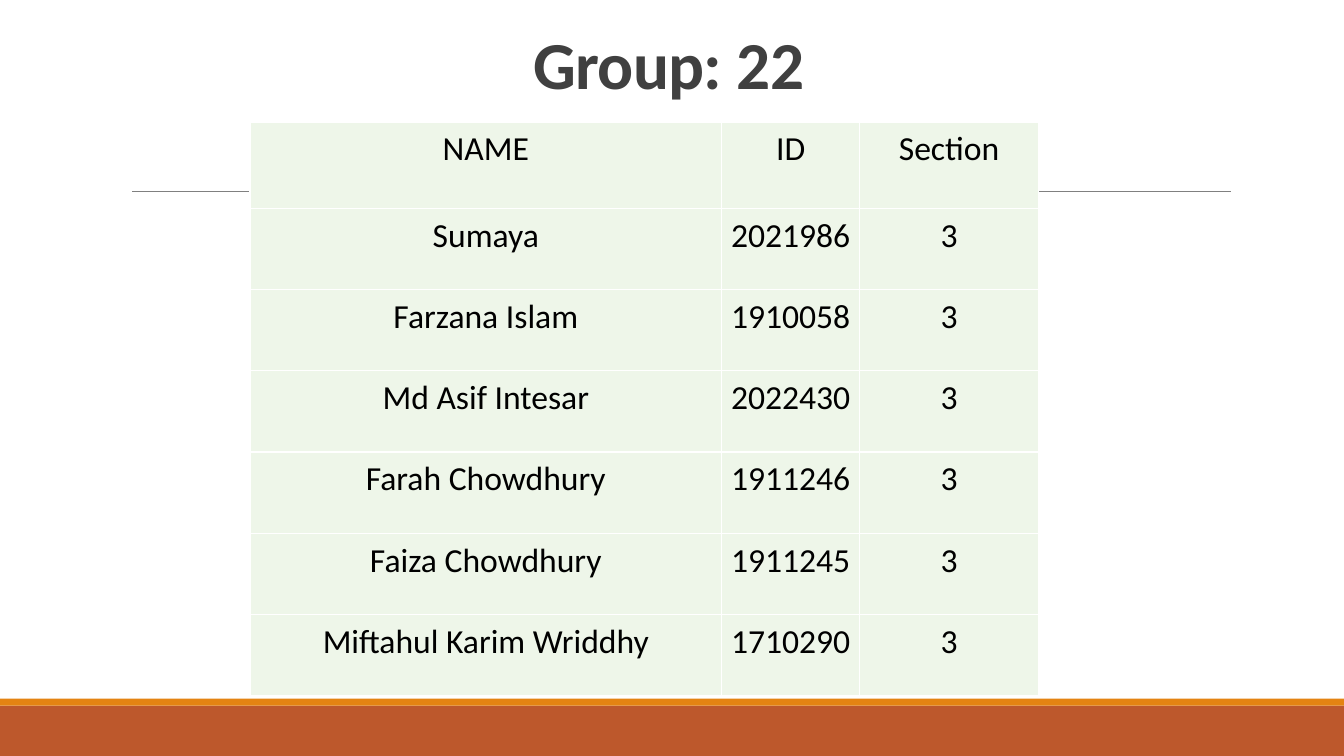
from dataclasses import dataclass

from lxml import etree
from pptx import Presentation
from pptx.dml.color import RGBColor
from pptx.enum.shapes import MSO_CONNECTOR, MSO_SHAPE
from pptx.enum.text import MSO_ANCHOR, PP_ALIGN
from pptx.oxml.ns import qn
from pptx.slide import Slide
from pptx.util import Inches, Pt

RECTANGLE = MSO_SHAPE.RECTANGLE
STRAIGHT = MSO_CONNECTOR.STRAIGHT
CENTER, LEFT = PP_ALIGN.CENTER, PP_ALIGN.LEFT
BOTTOM = MSO_ANCHOR.BOTTOM

SLIDE_WIDTH, SLIDE_HEIGHT = Inches(13.333), Inches(7.5)


@dataclass(frozen=True)
class Theme:
    font: str = "Calibri"
    title_size: int = 48
    cell_size: int = 24
    title: str = "404040"
    text: str = "000000"
    cell: str = "EEF6E9"
    border: str = "FFFFFF"
    rule: str = "808080"
    footer: str = "BD582C"
    accent: str = "E48312"


@dataclass(frozen=True)
class Band:
    top: float  # share of the slide's height
    height: float
    color: str


@dataclass(frozen=True)
class Member:
    name: str
    number: str
    section: str = "3"


@dataclass(frozen=True)
class TitleRun:
    text: str
    spacing: int  # hundredths of a point


THEME = Theme()
BANDS = [Band(0.9333, 0.0667, THEME.footer), Band(0.924, 0.0093, THEME.accent)]
TITLE_RUNS = [TitleRun("Group: ", -50), TitleRun("22", -20)]
ROWS = [
    Member("NAME", "ID", "Section"),
    Member("Sumaya", "2021986"),
    Member("Farzana Islam", "1910058"),
    Member("Md Asif Intesar", "2022430"),
    Member("Farah Chowdhury", "1911246"),
    Member("Faiza Chowdhury", "1911245"),
    Member("Miftahul Karim Wriddhy", "1710290"),
]
COLUMN_SHARES = [0.351, 0.1028, 0.1328]
HEADER_SHARE, ROW_SHARE = 0.1147, 0.1073


def across(share: float) -> int:
    return round(SLIDE_WIDTH * share)


def down(share: float) -> int:
    return round(SLIDE_HEIGHT * share)


def add_run(paragraph, text: str, size: int, color: str, bold: bool = False):
    run = paragraph.add_run()
    run.text = text
    run.font.name = THEME.font
    run.font.size = Pt(size)
    run.font.bold = bold
    run.font.color.rgb = RGBColor.from_string(color)
    return run


def add_band(slide: Slide, band: Band) -> None:
    shape = slide.shapes.add_shape(
        RECTANGLE, 0, down(band.top), SLIDE_WIDTH, down(band.height))
    shape.shadow.inherit = False
    shape.fill.solid()
    shape.fill.fore_color.rgb = RGBColor.from_string(band.color)
    shape.line.fill.background()


def add_rule(slide: Slide) -> None:
    height = down(0.2533)
    rule = slide.shapes.add_connector(
        STRAIGHT, across(0.0983), height, across(0.9158), height)
    rule.line.color.rgb = RGBColor.from_string(THEME.rule)
    rule.line.width = Pt(0.5)
    etree.SubElement(rule.element.spPr, qn("a:effectLst"))


def style_cell(cell) -> None:
    cell.margin_left = cell.margin_right = Inches(0.07)
    cell.margin_top = cell.margin_bottom = Inches(0.07)
    properties = cell._tc.get_or_add_tcPr()
    for side in ("a:lnL", "a:lnR", "a:lnT", "a:lnB"):
        line = etree.SubElement(properties, qn(side), w=str(Pt(1)))
        fill = etree.SubElement(line, qn("a:solidFill"))
        etree.SubElement(fill, qn("a:srgbClr"), val=THEME.border)
    cell.fill.solid()
    cell.fill.fore_color.rgb = RGBColor.from_string(THEME.cell)


def add_members(slide: Slide, members: list[Member]) -> None:
    row_shares = [HEADER_SHARE] + [ROW_SHARE] * (len(members) - 1)
    table = slide.shapes.add_table(
        len(members), len(COLUMN_SHARES), across(0.186), down(0.1613),
        across(sum(COLUMN_SHARES)), down(sum(row_shares))).table
    for column, share in zip(table.columns, COLUMN_SHARES):
        column.width = across(share)
    for row, share, member in zip(table.rows, row_shares, members):
        row.height = down(share)
        for cell, text in zip(row.cells, (member.name, member.number, member.section)):
            style_cell(cell)
            paragraph = cell.text_frame.paragraphs[0]
            paragraph.alignment = CENTER
            add_run(paragraph, text, THEME.cell_size, THEME.text)


def add_title(slide: Slide, runs: list[TitleRun]) -> None:
    box = slide.shapes.add_textbox(across(0.396), down(0.0267), across(0.2078), down(0.1093))
    frame = box.text_frame
    frame.word_wrap = True
    frame.vertical_anchor = BOTTOM
    frame.margin_left = frame.margin_right = frame.margin_bottom = 0
    frame.margin_top = Inches(0.01)
    paragraph = frame.paragraphs[0]
    paragraph.alignment = LEFT
    paragraph.space_before = Pt(1.1)
    paragraph._p.get_or_add_pPr().set("marL", str(Inches(0.01)))
    for title_run in runs:
        run = add_run(paragraph, title_run.text, THEME.title_size, THEME.title, bold=True)
        run.font._element.set("spc", str(title_run.spacing))


def main() -> None:
    presentation = Presentation()
    presentation.slide_width, presentation.slide_height = SLIDE_WIDTH, SLIDE_HEIGHT
    slide = presentation.slides.add_slide(presentation.slide_layouts[6])

    # Footer bands and the rule behind the table
    for band in BANDS:
        add_band(slide, band)
    add_rule(slide)

    # Group members and heading
    add_members(slide, ROWS)
    add_title(slide, TITLE_RUNS)
    presentation.save("out.pptx")


if __name__ == "__main__":
    main()
